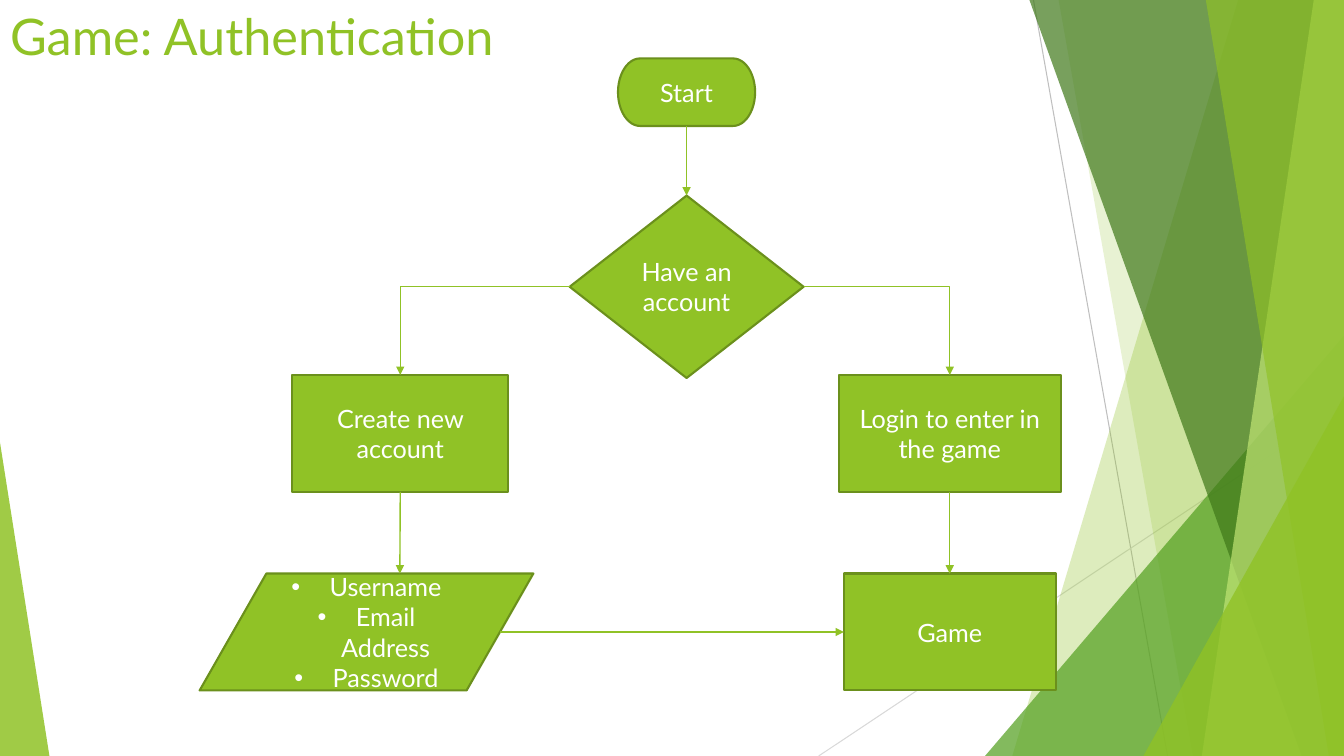
from lxml import etree
from pptx import Presentation
from pptx.dml.color import RGBColor
from pptx.enum.shapes import MSO_CONNECTOR as CONN, MSO_SHAPE as SHAPE
from pptx.enum.text import MSO_ANCHOR, PP_ALIGN
from pptx.oxml.ns import qn
from pptx.util import Inches, Pt

W, H = 13.33, 7.5
FONT = "Lato"
COLORS = {"lime": "90C226", "edge": "6B901C", "green": "54A021", "forest": "3F7819",
          "pale": "C0E474", "white": "FFFFFF", "gray": "BFBFBF", "mist": "D9D9D9"}

TITLE = "Game: Authentication"
# name: (shape, left, top, width, height, paragraphs)
NODES = {
    "start": (SHAPE.FLOWCHART_TERMINATOR, 6.13, 0.58, 1.36, 0.67, ["Start"]),
    "decision": (SHAPE.FLOWCHART_DECISION, 5.65, 1.94, 2.32, 1.81, ["Have an account"]),
    "create": (SHAPE.FLOWCHART_PROCESS, 2.9, 3.72, 2.14, 1.16, ["Create new account"]),
    "login": (SHAPE.FLOWCHART_PROCESS, 8.32, 3.72, 2.2, 1.16, ["Login to enter in the game"]),
    "details": (SHAPE.FLOWCHART_DATA, 1.98, 5.69, 3.31, 1.16,
                ["Username", "Email Address", "Password"]),
    "game": (SHAPE.FLOWCHART_PROCESS, 8.37, 5.69, 2.1, 1.16, ["Game"]),
}
TOP, LEFT, BOTTOM, RIGHT = range(4)
# (kind, from node, side, to node, side)
ARROWS = [
    (CONN.STRAIGHT, "start", BOTTOM, "decision", TOP),
    (CONN.ELBOW, "decision", LEFT, "create", TOP),
    (CONN.ELBOW, "decision", RIGHT, "login", TOP),
    (CONN.STRAIGHT, "create", BOTTOM, "details", TOP),
    (CONN.STRAIGHT, "login", BOTTOM, "game", TOP),
    (CONN.STRAIGHT, "details", RIGHT, "game", LEFT),
]
# (x1, y1, x2, y2, colour)
BACK_LINES = [(10.25, 0, 11.58, H, "gray"), (W, 4.03, 8.12, H, "mist")]
# (colour, opacity in percent, outline points)
BACK_PANELS = [
    ("lime", 30, [(12.28, 0), (W, 0), (W, H), (10.04, H)]),
    ("lime", 20, [(10.5, 0), (W, 0), (W, H), (11.83, H)]),
    ("green", 72, [(W, 3.33), (W, H), (9.77, H)]),
    ("forest", 70, [(10.21, 0), (W, 0), (W, H), (12.91, H)]),
    ("pale", 70, [(13.03, 0), (W, 0), (W, H), (11.92, H)]),
    ("lime", 65, [(11.96, 0), (W, 0), (W, H), (13.18, H)]),
    ("lime", 80, [(W, 3.93), (W, H), (11.34, H)]),
    ("lime", 85, [(0, 4.39), (0.49, H), (0, H)]),
]


def rgb(name):
    return RGBColor.from_string(COLORS[name])


def set_fill(sp, color):
    sp.shadow.inherit = False
    sp.fill.solid()
    sp.fill.fore_color.rgb = rgb(color)


def style_font(font, size, color):
    for key, value in {"name": FONT, "size": Pt(size), "bold": False}.items():
        setattr(font, key, value)
    font.color.rgb = rgb(color)


def add_panel(shapes, color, opacity, points):
    points = [(Inches(x), Inches(y)) for x, y in points]
    builder = shapes.build_freeform(*points[0])
    builder.add_line_segments(points[1:], close=True)
    sp = builder.convert_to_shape()
    set_fill(sp, color)
    sp.line.fill.background()
    clr = sp.fill._xPr.find(qn("a:solidFill"))[0]
    etree.SubElement(clr, qn("a:alpha"), val=str(opacity * 1000))


def add_line(shapes, kind, x1, y1, x2, y2, color, width):
    line = shapes.add_connector(kind, *map(Inches, (x1, y1, x2, y2)))
    line.line.color.rgb = rgb(color)
    line.line.width = Pt(width)
    etree.SubElement(line._element.spPr, qn("a:effectLst"))
    return line


def add_node(shapes, kind, x, y, w, h, paragraphs):
    sp = shapes.add_shape(kind, *map(Inches, (x, y, w, h)))
    set_fill(sp, "lime")
    sp.line.color.rgb = rgb("edge")
    sp.line.width = Pt(1.5)
    tf = sp.text_frame
    tf.word_wrap = True
    tf.vertical_anchor = MSO_ANCHOR.MIDDLE
    for i, text in enumerate(paragraphs):
        p = tf.paragraphs[0] if i == 0 else tf.add_paragraph()
        p.alignment = PP_ALIGN.CENTER
        if len(paragraphs) > 1:
            pPr = p._p.get_or_add_pPr()
            pPr.set("marL", str(Inches(0.38)))
            pPr.set("indent", str(-Inches(0.38)))
            etree.SubElement(pPr, qn("a:buFont"), typeface="Arial")
            etree.SubElement(pPr, qn("a:buChar"), char="•")
        r = p.add_run()
        r.text = text
        style_font(r.font, 18, "white")
    return sp


def side_point(name, side):
    """Middle of a node's side; a parallelogram's are shifted by its slant."""
    kind, x, y, w, h, _ = NODES[name]
    slanted = kind == SHAPE.FLOWCHART_DATA
    across = {TOP: 0.6 if slanted else 0.5, LEFT: 0.1 if slanted else 0,
              BOTTOM: 0.4 if slanted else 0.5, RIGHT: 0.9 if slanted else 1}
    down = {TOP: 0, LEFT: 0.5, BOTTOM: 1, RIGHT: 0.5}
    return x + w * across[side], y + h * down[side]


def add_arrow(shapes, nodes, kind, source, out_side, target, in_side):
    ends = side_point(source, out_side) + side_point(target, in_side)
    line = add_line(shapes, kind, *ends, "lime", 1)
    if kind == CONN.ELBOW:
        line._element.spPr.find(qn("a:prstGeom")).set("prst", "bentConnector2")
    if source != "details":
        line.begin_connect(nodes[source], out_side)
    if target != "details":
        line.end_connect(nodes[target], in_side)
    etree.SubElement(line.line._get_or_add_ln(), qn("a:tailEnd"), type="triangle")


def main():
    prs = Presentation()
    prs.slide_width, prs.slide_height = Inches(W), Inches(H)
    slide = prs.slides.add_slide(prs.slide_layouts[5])
    shapes = slide.shapes

    for *ends, color in BACK_LINES:
        add_line(shapes, CONN.STRAIGHT, *ends, color, 0.75)
    for panel in BACK_PANELS:
        add_panel(shapes, *panel)
    nodes = {name: add_node(shapes, *node) for name, node in NODES.items()}
    for arrow in ARROWS:
        add_arrow(shapes, nodes, *arrow)

    title = shapes.title
    title.left, title.top, title.width, title.height = map(Inches, (0, 0, 8.45, 1.3))
    tf = title.text_frame
    tf.vertical_anchor = MSO_ANCHOR.TOP
    p = tf.paragraphs[0]
    p.alignment = PP_ALIGN.LEFT
    r = p.add_run()
    r.text = TITLE
    style_font(r.font, 36, "lime")

    prs.save("out.pptx")


if __name__ == "__main__":
    main()
